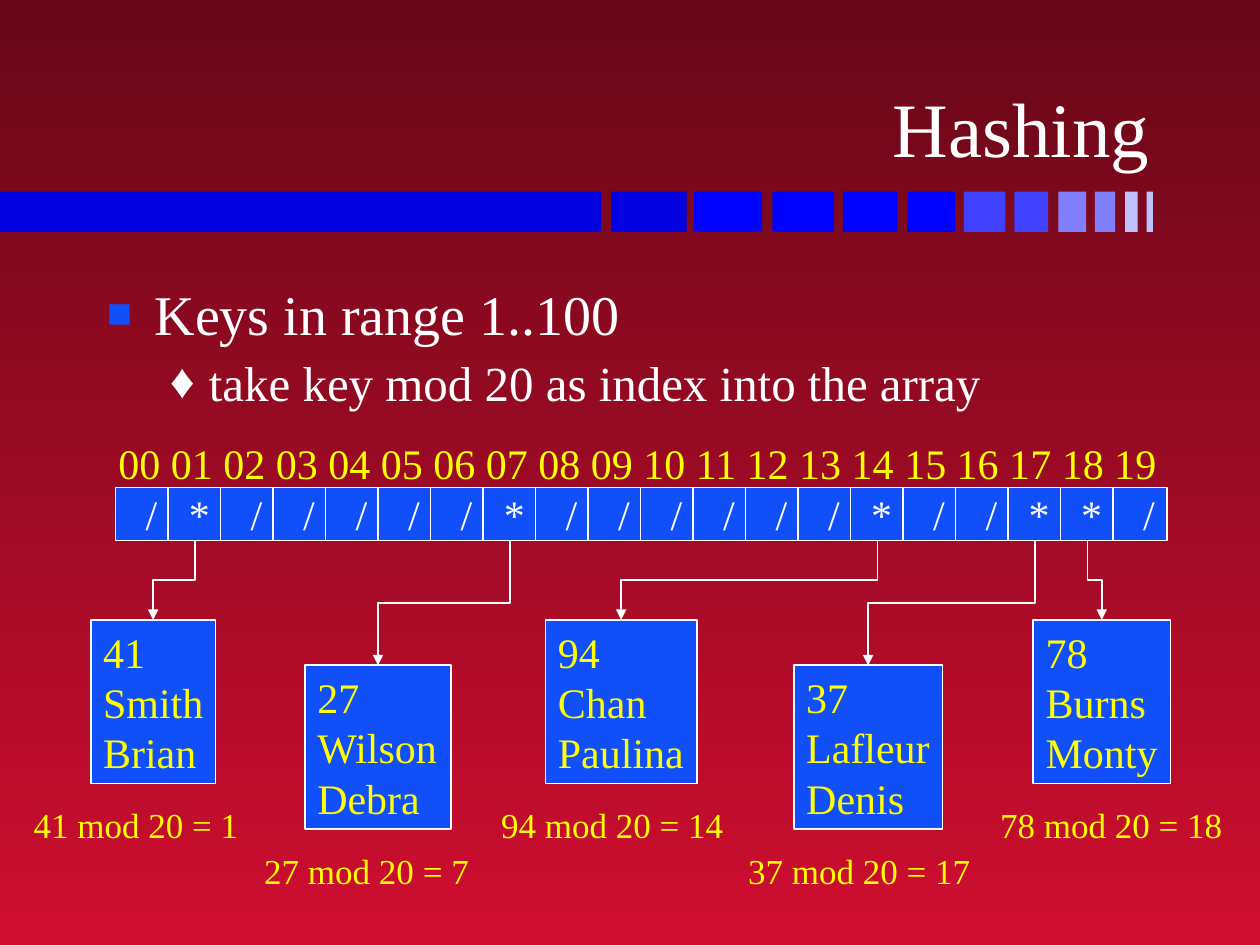
from lxml.etree import SubElement
from pptx import Presentation
from pptx.dml.color import RGBColor
from pptx.enum.shapes import MSO_CONNECTOR, MSO_SHAPE
from pptx.enum.text import MSO_ANCHOR, PP_ALIGN
from pptx.oxml.ns import qn
from pptx.util import Inches, Pt

FONT = "Times New Roman"
WHITE, YELLOW, BLUE = "FFFFFF", "FFFF00", "114FFB"
SLOTS = 20
CELL_WIDTH, CELL_HEIGHT = 0.43, 0.42
BARS = [
    (0, 4.77, "0000E0"), (4.85, 0.6, "0000E0"), (5.51, 0.54, "0000FF"),
    (6.13, 0.49, "0000FF"), (6.69, 0.43, "0000FF"), (7.2, 0.38, "0000FF"),
    (7.65, 0.33, "4040FF"), (8.05, 0.27, "4040FF"), (8.4, 0.22, "8080FF"),
    (8.69, 0.16, "8080FF"), (8.93, 0.1, "C0C0FF"), (9.1, 0.05, "C0C0FF"),
]
RECORDS = [
    (41, "Smith", "Brian", (0.72, 4.92, 0.99, 1.3), (0.17, 1.82)),
    (27, "Wilson", "Debra", (2.42, 5.28, 1.16, 1.3), (2, 1.82)),
    (94, "Chan", "Paulina", (4.33, 4.92, 1.2, 1.3), (3.88, 1.96)),
    (37, "Lafleur", "Denis", (6.3, 5.28, 1.18, 1.3), (5.84, 1.96)),
    (78, "Burns", "Monty", (8.2, 4.92, 1.09, 1.3), (7.84, 1.96)),
]


def colour(value):
    """Turn a hex string into a colour."""
    return RGBColor.from_string(value)


def apply(target, values):
    """Set each named attribute on the target."""
    for name, value in values.items():
        setattr(target, name, value)


def write(shape, lines, size, hue, align=PP_ALIGN.LEFT, **frame_format):
    """Write one paragraph per line into a shape."""
    frame = shape.text_frame
    apply(frame, {"word_wrap": True, **frame_format})
    for number, line in enumerate(lines):
        para = frame.add_paragraph() if number else frame.paragraphs[0]
        para.alignment = align
        add_span(para, line, size, hue)


def add_span(para, text, size, hue):
    """Add a formatted run to a paragraph."""
    span = para.add_run()
    span.text = text
    apply(span.font, {"name": FONT, "size": Pt(size)})
    span.font.color.rgb = colour(hue)


def add_text(page, box, *content, **frame_format):
    """Place a text box."""
    shape = page.shapes.add_textbox(*map(Inches, box))
    write(shape, *content, **frame_format)


def add_rectangle(page, box, fill, outline=None):
    """Place a filled rectangle, outlined if a colour is given."""
    shape = page.shapes.add_shape(MSO_SHAPE.RECTANGLE, *map(Inches, box))
    shape.shadow.inherit = False
    shape.fill.solid()
    shape.fill.fore_color.rgb = colour(fill)
    if outline:
        shape.line.color.rgb = colour(outline)
        shape.line.width = Pt(1)
    else:
        shape.line.fill.background()
    return shape


def add_background(page):
    """Fill the page with a vertical red gradient."""
    fill = page.background.fill
    fill.gradient()
    fill.gradient_angle = 270
    for stop, value in zip(fill.gradient_stops, ("670718", "CF0E30")):
        stop.color.rgb = colour(value)


def add_header(page, box):
    """Place the title and the row of fading bars below it."""
    left, top, width, height = box
    for bar_left, bar_width, fill in BARS:
        add_rectangle(page, (bar_left, top + height + 0.1, bar_width, 0.32), fill)
    add_text(page, box, ["Hashing"], 44, WHITE, PP_ALIGN.RIGHT,
             vertical_anchor=MSO_ANCHOR.BOTTOM)


def add_bullet(para, character, hue, percent, margin, hang):
    """Give a paragraph a coloured bullet with a hanging indent."""
    properties = para._p.get_or_add_pPr()
    properties.set("marL", str(Inches(margin)))
    properties.set("indent", str(-Inches(hang)))
    tint = SubElement(properties, qn("a:buClr"))
    SubElement(tint, qn("a:srgbClr"), val=hue)
    SubElement(properties, qn("a:buSzPct"), val=str(percent * 1000))
    SubElement(properties, qn("a:buFont"), typeface=FONT)
    SubElement(properties, qn("a:buChar"), char=character)


def add_points(page, box):
    """Place the two levels of bullet text."""
    frame = page.shapes.add_textbox(*map(Inches, box)).text_frame
    frame.word_wrap = True
    first, second = frame.paragraphs[0], frame.add_paragraph()
    add_bullet(first, "■", BLUE, 75, 0.38, 0.38)
    add_span(first, "Keys in range 1..100", 32, WHITE)
    add_bullet(second, "♦", WHITE, 100, 0.81, 0.31)
    apply(second, {"level": 1, "space_before": Pt(3.5)})
    add_span(second, "take key mod 20 as index into the array", 28, WHITE)


def cell_left(slot):
    """Return the left edge of an array cell in inches."""
    return (11 + 5 * slot) / 12


def add_array(page, top):
    """Place the array cells and the index row above them."""
    used = {record[0] % SLOTS for record in RECORDS}
    for slot in range(SLOTS):
        box = (cell_left(slot), top, CELL_WIDTH, CELL_HEIGHT)
        cell = add_rectangle(page, box, BLUE, WHITE)
        write(cell, ["*" if slot in used else "/"], 24, WHITE, PP_ALIGN.RIGHT,
              word_wrap=False, vertical_anchor=MSO_ANCHOR.MIDDLE)
    indexes = " ".join(f"{slot:02}" for slot in range(SLOTS))
    add_text(page, (0.84, top - 0.45, 8.45, 0.5), [indexes], 24, YELLOW,
             margin_right=0)


def add_arrow(page, start, end):
    """Join two points by an elbow arrow that leaves and arrives vertically."""
    middle_x, middle_y = (start[0] + end[0]) / 2, (start[1] + end[1]) / 2
    turn = 1 if end[0] < start[0] else -1
    across = turn * (start[1] - middle_y)
    down = turn * (middle_x - start[0])
    ends = (middle_x + across, middle_y + down, middle_x - across, middle_y - down)
    arrow = page.shapes.add_connector(MSO_CONNECTOR.ELBOW, *map(Inches, ends))
    arrow.rotation = 90 * turn % 360
    arrow.line.color.rgb = colour(WHITE)
    arrow.line.width = Pt(1)
    SubElement(arrow.line._get_or_add_ln(), qn("a:tailEnd"), type="triangle")
    SubElement(arrow._element.spPr, qn("a:effectLst"))


def add_record(page, record, array_bottom):
    """Place one record, its arrow from the array and its sum."""
    key, surname, forename, box, (sum_left, sum_width) = record
    left, top, width, height = box
    slot = key % SLOTS
    card = add_rectangle(page, box, BLUE, WHITE)
    write(card, [str(key), surname, forename], 24, YELLOW,
          vertical_anchor=MSO_ANCHOR.MIDDLE, margin_right=0)
    start = (cell_left(slot) + CELL_WIDTH / 2, array_bottom)
    add_arrow(page, start, (left + width / 2, top))
    add_text(page, (sum_left, top + height + 0.11, sum_width, 0.44),
             [f"{key} mod {SLOTS} = {slot}"], 20, YELLOW, PP_ALIGN.RIGHT,
             margin_left=0)


def main():
    """Build and save the deck."""
    deck = Presentation()
    apply(deck, {"slide_width": Inches(10), "slide_height": Inches(7.5)})
    page = deck.slides.add_slide(deck.slide_layouts[6])
    add_background(page)
    add_header(page, (0.74, 0.19, 8.48, 1.23))
    add_points(page, (0.75, 2.17, 8.5, 4.5))
    array_top = 3.87
    add_array(page, array_top)
    for record in RECORDS:
        add_record(page, record, array_top + CELL_HEIGHT)
    deck.save("out.pptx")


if __name__ == "__main__":
    main()
